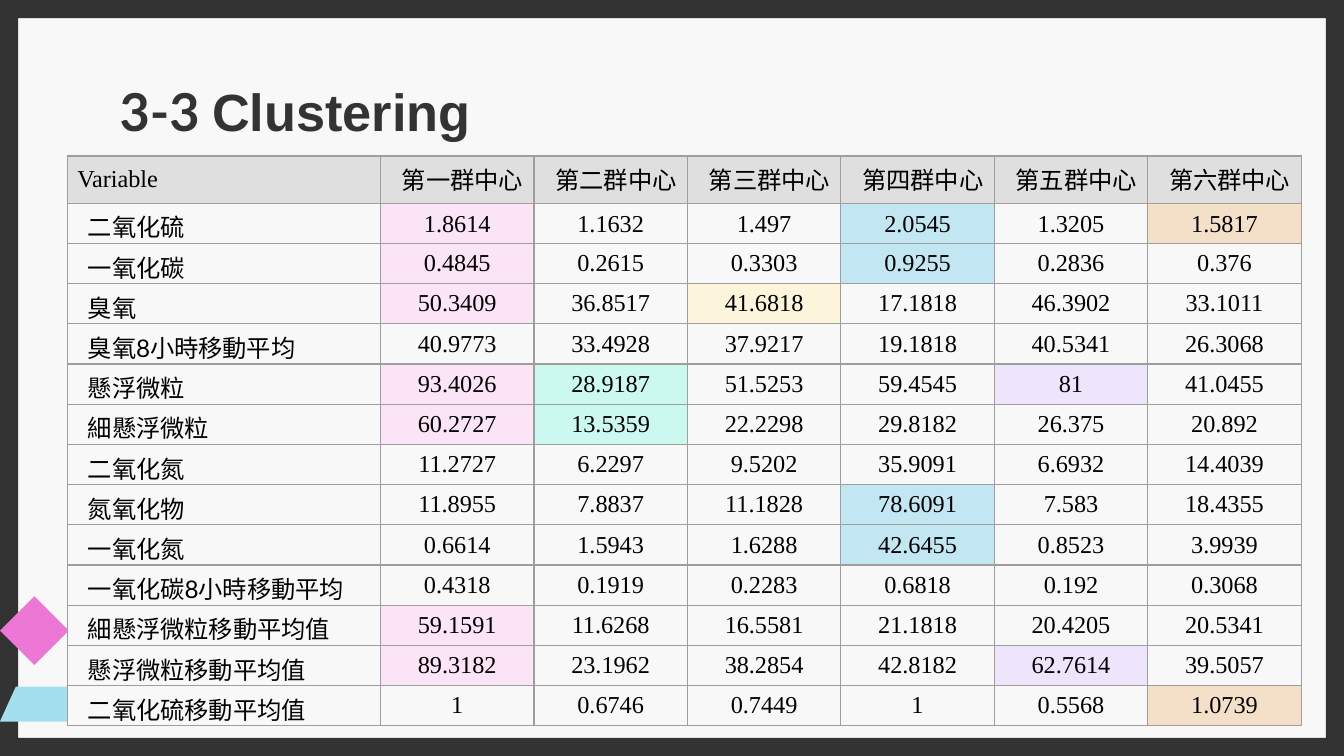
"""Build the slide with the table of cluster centres."""
from typing import NamedTuple, Optional

from pptx import Presentation
from pptx.dml.color import RGBColor
from pptx.enum.shapes import MSO_SHAPE as Shape
from pptx.enum.text import MSO_ANCHOR as Anchor, MSO_AUTO_SIZE as AutoSize, PP_ALIGN as Align
from pptx.oxml import parse_xml
from pptx.oxml.ns import nsdecls
from pptx.util import Cm, Pt

DARK, PAPER, HEADER, GRID = "333333", "F8F8F8", "DFDFDF", "9E9E9E"
CLUSTER_FILLS = ["FBE4F6", "CBF8EF", "FCF5DB", "C3E6F3", "EEE5FD", "F4E0C9"]


class Ornament(NamedTuple):
    points: list[tuple[float, float]]
    fill: str


class Pollutant(NamedTuple):
    label: str
    centres: str
    marked: tuple[int, ...] = ()


class CellStyle(NamedTuple):
    font: str
    align: Optional[Align] = None
    indent: float = 0
    spacing: Optional[int] = None


ORNAMENTS = [
    Ornament([(5.13, 13.64), (0, 13.64), (0.3, 12.98), (5.44, 12.98)], "A3DFEF"),
    Ornament([(0, 11.92), (0.65, 11.27), (1.3, 11.92), (0.65, 12.57)], "ED77D4"),
]

POLLUTANTS = [
    Pollutant("二氧化硫", "1.8614 1.1632 1.497 2.0545 1.3205 1.5817", (1, 4, 6)),
    Pollutant("一氧化碳", "0.4845 0.2615 0.3303 0.9255 0.2836 0.376", (1, 4)),
    Pollutant("臭氧", "50.3409 36.8517 41.6818 17.1818 46.3902 33.1011", (1, 3)),
    Pollutant("臭氧8小時移動平均", "40.9773 33.4928 37.9217 19.1818 40.5341 26.3068"),
    Pollutant("懸浮微粒", "93.4026 28.9187 51.5253 59.4545 81 41.0455", (1, 2, 5)),
    Pollutant("細懸浮微粒", "60.2727 13.5359 22.2298 29.8182 26.375 20.892", (1, 2)),
    Pollutant("二氧化氮", "11.2727 6.2297 9.5202 35.9091 6.6932 14.4039"),
    Pollutant("氮氧化物", "11.8955 7.8837 11.1828 78.6091 7.583 18.4355", (4,)),
    Pollutant("一氧化氮", "0.6614 1.5943 1.6288 42.6455 0.8523 3.9939", (4,)),
    Pollutant("一氧化碳8小時移動平均", "0.4318 0.1919 0.2283 0.6818 0.192 0.3068"),
    Pollutant("細懸浮微粒移動平均值", "59.1591 11.6268 16.5581 21.1818 20.4205 20.5341", (1,)),
    Pollutant("懸浮微粒移動平均值", "89.3182 23.1962 38.2854 42.8182 62.7614 39.5057", (1, 5)),
    Pollutant("二氧化硫移動平均值", "1 0.6746 0.7449 1 0.5568 1.0739", (6,)),
]

CORNER = CellStyle("Times New Roman", Align.JUSTIFY)
HEADING = CellStyle("Lato", Align.CENTER, 0.2, 16)
LABEL = CellStyle("Lato", Align.LEFT, 0.2, 20)
FIRST_VALUE = CellStyle("Times New Roman", Align.CENTER, 0, 16)
VALUE = CellStyle("Times New Roman", Align.CENTER)


def paint(fill, color: str) -> None:
    """Fill an area with one colour."""
    fill.solid()
    fill.fore_color.rgb = RGBColor.from_string(color)


def finish(sp, color: str) -> None:
    """Give a shape a plain fill without line or shadow."""
    paint(sp.fill, color)
    sp.line.fill.background()
    sp.shadow.inherit = False


def add_run(p, text: str, font: str, size: float, color: str, bold: bool = False) -> None:
    """Add a run that uses one typeface for Latin and East Asian text."""
    r = p.add_run()
    r.text = text
    r.font.size, r.font.bold, r.font.name = Pt(size), bold, font
    paint(r.font.fill, color)
    r.font._element.append(parse_xml(f'<a:ea {nsdecls("a")} typeface="{font}"/>'))


def draw_ornament(s, ornament: Ornament) -> None:
    """Draw a closed polygon."""
    start, *rest = [(Cm(x), Cm(y)) for x, y in ornament.points]
    builder = s.shapes.build_freeform(*start)
    builder.add_line_segments(rest, close=True)
    finish(builder.convert_to_shape(), ornament.fill)


def add_borders(cell) -> None:
    """Rule all four sides of a cell."""
    tc_pr = cell._tc.get_or_add_tcPr()
    for side in "LRTB":
        tc_pr.append(parse_xml(
            f'<a:ln{side} {nsdecls("a")} w="{Pt(0.75)}"><a:solidFill>'
            f'<a:srgbClr val="{GRID}"/></a:solidFill></a:ln{side}>'))


def write_cell(cell, text: str, style: CellStyle, fill: str) -> None:
    """Write and format one table cell."""
    cell.margin_left = cell.margin_right = Cm(0.19)
    cell.margin_top = cell.margin_bottom = 0
    cell.vertical_anchor = Anchor.MIDDLE
    add_borders(cell)
    paint(cell.fill, fill)
    p = cell.text_frame.paragraphs[0]
    p.alignment = style.align
    if style.indent:
        p._p.get_or_add_pPr().set("marL", str(Cm(style.indent)))
    if style.spacing:
        p.line_spacing = Pt(style.spacing)
    add_run(p, text, style.font, 13, "000000")


def draw_table(s) -> None:
    """Draw the cluster centres with the notable values tinted by cluster."""
    columns = len(CLUSTER_FILLS) + 1
    table = s.shapes.add_table(len(POLLUTANTS) + 1, columns,
                               Cm(1.27), Cm(2.95), Cm(23.32), Cm(10.77)).table
    table.first_row = table.horz_banding = False
    for i, column in enumerate(table.columns):
        column.width = Cm(2.9 if i else 5.92)
    for i, row in enumerate(table.rows):
        row.height = Cm(0.76 if i else 0.89)

    write_cell(table.cell(0, 0), "Variable", CORNER, HEADER)
    for c, ordinal in enumerate("一二三四五六", 1):
        write_cell(table.cell(0, c), f"第{ordinal}群中心", HEADING, HEADER)
    for i, pollutant in enumerate(POLLUTANTS, 1):
        write_cell(table.cell(i, 0), pollutant.label, LABEL, PAPER)
        for c, value in enumerate(pollutant.centres.split(), 1):
            fill = CLUSTER_FILLS[c - 1] if c in pollutant.marked else PAPER
            write_cell(table.cell(i, c), value, FIRST_VALUE if i == 1 else VALUE, fill)


def write_title(sp) -> None:
    """Place and write the slide title."""
    sp.left, sp.top, sp.width, sp.height = Cm(2.01), Cm(1.24), Cm(21.41), Cm(1.7)
    tf = sp.text_frame
    tf.auto_size, tf.vertical_anchor, tf.word_wrap = AutoSize.NONE, Anchor.MIDDLE, True
    tf.margin_left = tf.margin_right = tf.margin_top = tf.margin_bottom = Cm(0.25)
    p = tf.paragraphs[0]
    p.alignment = Align.LEFT
    add_run(p, "3-3 ", "Lato", 28, DARK, True)
    add_run(p, "Clustering", "Arial", 28, DARK, True)


def main() -> None:
    """Build and save the presentation."""
    prs = Presentation()
    prs.slide_width, prs.slide_height = Cm(25.4), Cm(14.29)
    s = prs.slides.add_slide(prs.slide_layouts[5])
    paint(s.background.fill, PAPER)
    frame = s.shapes.add_shape(Shape.FRAME, 0, 0, prs.slide_width, prs.slide_height)
    frame.adjustments[0] = 0.024
    finish(frame, DARK)
    for ornament in ORNAMENTS:
        draw_ornament(s, ornament)
    write_title(s.shapes.title)
    draw_table(s)
    prs.save("out.pptx")


if __name__ == "__main__":
    main()
